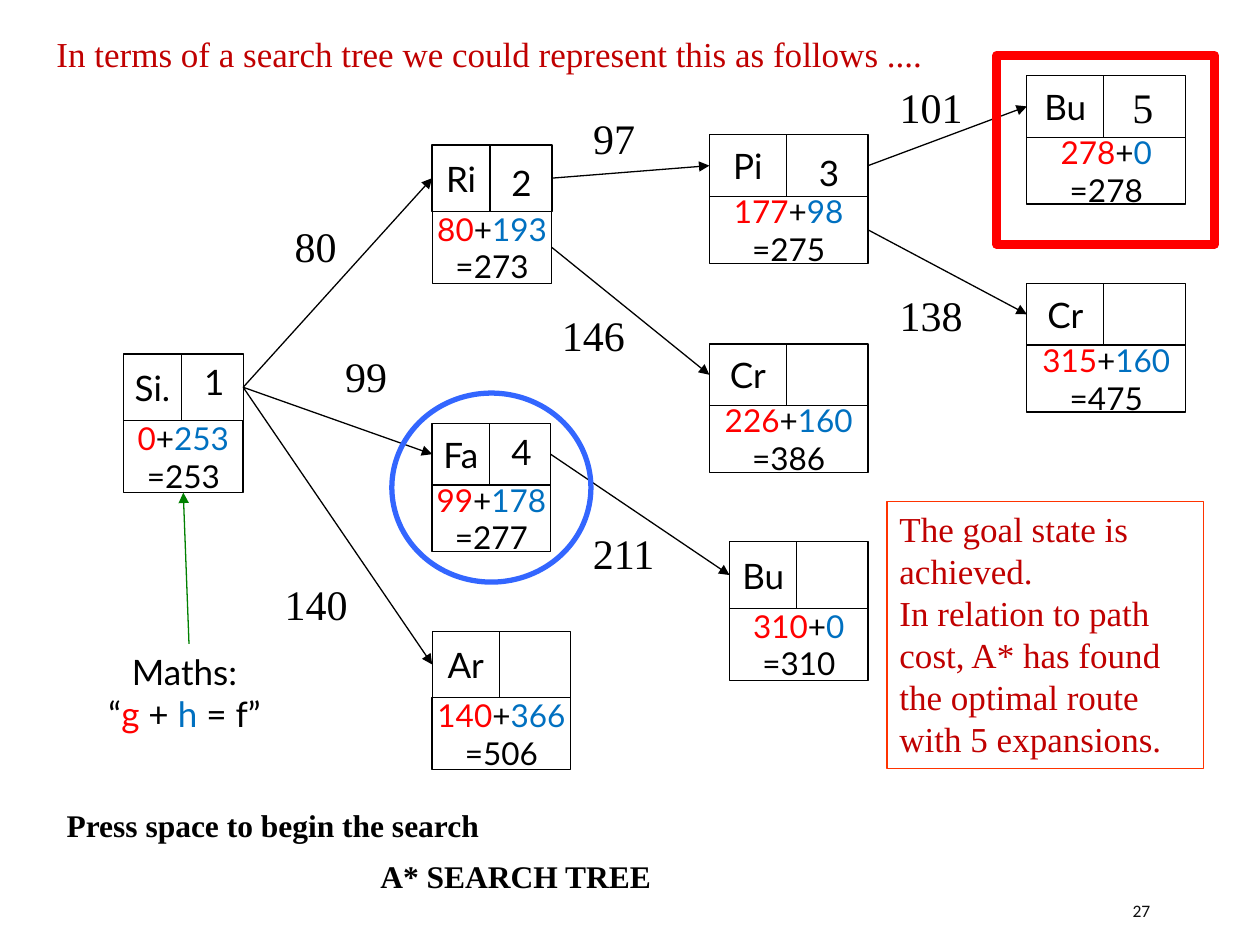
from collections import namedtuple

from lxml import etree
from pptx import Presentation
from pptx.dml.color import RGBColor
from pptx.enum.shapes import MSO_CONNECTOR, MSO_SHAPE
from pptx.enum.text import MSO_ANCHOR as Anchor
from pptx.enum.text import MSO_AUTO_SIZE as AutoSize
from pptx.enum.text import PP_ALIGN as Align
from pptx.oxml.ns import qn
from pptx.util import Inches, Pt

BLACK = RGBColor(0x00, 0x00, 0x00)
NEAR_BLACK = RGBColor(0x0D, 0x0D, 0x0D)
RED = RGBColor(0xFF, 0x00, 0x00)
DARK_RED = RGBColor(0xC0, 0x00, 0x00)
ORANGE = RGBColor(0xFF, 0x33, 0x00)
BLUE = RGBColor(0x00, 0x70, 0xC0)
RING_BLUE = RGBColor(0x33, 0x66, 0xFF)
GREEN = RGBColor(0x00, 0x80, 0x00)

SERIF = "Times New Roman"
CAPTION = {"name": SERIF, "size": Pt(18), "bold": True}
PROSE = {"name": SERIF, "size": Pt(20)}
DISTANCE = {"name": SERIF, "size": Pt(24)}
CITY = {"name": "Lato", "size": Pt(20)}
COST = {"name": "Lato", "size": Pt(18)}
PAGE = {"name": "Calibri", "size": Pt(10)}

CELL_FRAME = {
    "margin_left": 0, "margin_right": 0, "margin_top": 0, "margin_bottom": 0,
    "vertical_anchor": Anchor.MIDDLE, "word_wrap": True,
}
GROWING_FRAME = {
    "vertical_anchor": Anchor.TOP, "word_wrap": True,
    "auto_size": AutoSize.SHAPE_TO_FIT_TEXT,
}
ONE_LINE_FRAME = {**GROWING_FRAME, "word_wrap": False}
MATHS_FRAME = {**ONE_LINE_FRAME, "vertical_anchor": Anchor.MIDDLE}
PAGE_FRAME = {"vertical_anchor": Anchor.MIDDLE, "word_wrap": True}

TOP, LEFT, BOTTOM, RIGHT = range(4)
NAME_WIDTH_SHARE = 0.485
NAME_HEIGHT_SHARE = 0.48

Node = namedtuple("Node", "city order cost")

# key: city, g, h, f, box
NODES = {
    "Si": ("Si.", 0, 253, 253, (0.98, 2.81, 0.95, 1.1)),
    "Pi": ("Pi", 177, 98, 275, (5.63, 1.07, 1.26, 1.02)),
    "Ar": ("Ar", 140, 366, 506, (3.43, 5.01, 1.1, 1.1)),
    "Fa": ("Fa", 99, 178, 277, (3.43, 3.36, 0.94, 1.02)),
    "Ri": ("Ri", 80, 193, 273, (3.43, 1.15, 0.95, 1.1)),
    "Bu via Fa": ("Bu", 310, 0, 310, (5.79, 4.3, 1.1, 1.1)),
    "Bu via Pi": ("Bu", 278, 0, 278, (8.15, 0.6, 1.26, 1.02)),
    "Cr via Ri": ("Cr", 226, 160, 386, (5.63, 2.73, 1.26, 1.02)),
    "Cr via Pi": ("Cr", 315, 160, 475, (8.15, 2.25, 1.26, 1.02)),
}

# parent, cell the branch leaves from, child
BRANCHES = [
    ("Si", "order", "Ri"), ("Si", "order", "Fa"), ("Si", "order", "Ar"),
    ("Ri", "order", "Pi"), ("Ri", "cost", "Cr via Ri"),
    ("Fa", "order", "Bu via Fa"),
    ("Pi", "order", "Bu via Pi"), ("Pi", "cost", "Cr via Pi"),
]

DISTANCES = [
    ("140", 2.16, 4.54), ("80", 2.24, 1.7), ("99", 2.64, 2.73),
    ("138", 7.04, 2.25), ("101", 7.04, 0.6), ("211", 4.6, 4.14),
    ("146", 4.36, 2.41), ("97", 4.61, 0.84),
]

EXPANSIONS = [("1", 1.46, 2.81), ("2", 3.9, 1.23), ("3", 6.34, 1.15), ("4", 3.9, 3.36)]


def apply(target, values):
    for attribute, value in values.items():
        setattr(target, attribute, value)


def write(shape, spans, font, frame, align=Align.LEFT):
    """Fill one paragraph with (text, colour) spans; a newline is a line break."""
    text_frame = shape.text_frame
    apply(text_frame, frame)
    paragraph = text_frame.paragraphs[0]
    paragraph.alignment = align
    for text, colour in spans:
        for index, line in enumerate(text.split("\n")):
            if index:
                paragraph.add_line_break()
            if line:
                run = paragraph.add_run()
                run.text = line
                apply(run.font, font)
                run.font.color.rgb = colour


def add_text(shapes, box, spans, font, frame, align=Align.LEFT):
    text_box = shapes.add_textbox(*map(Inches, box))
    write(text_box, spans, font, frame, align)
    return text_box


def add_outline(shapes, preset, box, colour=BLACK, width=0.75):
    outline = shapes.add_shape(preset, *map(Inches, box))
    outline.shadow.inherit = False
    outline.fill.background()
    outline.line.color.rgb = colour
    outline.line.width = Pt(width)
    return outline


def add_arrow(shapes, start, start_side, end, end_side, colour=BLACK):
    arrow = shapes.add_connector(MSO_CONNECTOR.STRAIGHT, 0, 0, 0, 0)
    arrow.begin_connect(start, start_side)
    arrow.end_connect(end, end_side)
    arrow.line.color.rgb = colour
    arrow.line.width = Pt(0.75)
    etree.SubElement(arrow.line._get_or_add_ln(), qn("a:tailEnd"), type="triangle")
    etree.SubElement(arrow._element.spPr, qn("a:effectLst"))


def add_node(shapes, city, g, h, f, box):
    """Place a city cell and an order cell above a cost cell."""
    left, top, width, height = box
    name_width, name_height = width * NAME_WIDTH_SHARE, height * NAME_HEIGHT_SHARE
    cells = shapes.add_group_shape().shapes
    node = Node(*(add_outline(cells, MSO_SHAPE.RECTANGLE, cell) for cell in (
        (left, top, name_width, name_height),
        (left + name_width, top, width - name_width, name_height),
        (left, top + name_height, width, height - name_height),
    )))
    write(node.city, [(city, BLACK)], CITY, CELL_FRAME, Align.CENTER)
    cost = [(str(g), RED), ("+", BLACK), (f"{h}\n", BLUE), (f"={f}", BLACK)]
    write(node.cost, cost, COST, CELL_FRAME, Align.CENTER)
    return node


def add_tree(shapes):
    nodes = {key: add_node(shapes, *values) for key, values in NODES.items()}
    for parent, cell, child in BRANCHES:
        add_arrow(shapes, getattr(nodes[parent], cell), RIGHT, nodes[child].city, LEFT)
    for distance, left, top in DISTANCES:
        width = 0.7 if len(distance) == 3 else 0.53
        add_text(shapes, (left, top, width, 0.5), [(distance, BLACK)],
                 DISTANCE, ONE_LINE_FRAME, Align.CENTER)
    for number, left, top in EXPANSIONS:
        add_text(shapes, (left, top, 0.48, 0.44), [(number, BLACK)],
                 CITY, CELL_FRAME, Align.CENTER)
    add_text(shapes, (8.78, 0.6, 0.58, 0.5), [("5", BLACK)],
             DISTANCE, GROWING_FRAME, Align.CENTER)
    return nodes


def add_maths_note(shapes, box, start_node):
    formula = [("Maths: \n“", BLACK), ("g", RED), (" + ", BLACK), ("h", BLUE), (" = f” ", BLACK)]
    note = add_text(shapes, box, formula, CITY, MATHS_FRAME, Align.CENTER)
    add_arrow(shapes, note, TOP, start_node.cost, BOTTOM, GREEN)


def add_conclusion(shapes, box):
    conclusion = add_outline(shapes, MSO_SHAPE.RECTANGLE, box, ORANGE)
    write(conclusion, [("The goal state is achieved.\nIn relation to path cost, A* has found "
                        "the optimal route with 5 expansions.", DARK_RED)], PROSE, GROWING_FRAME)


def main():
    presentation = Presentation()
    presentation.slide_width, presentation.slide_height = Inches(10), Inches(7.5)
    shapes = presentation.slides.add_slide(presentation.slide_layouts[6]).shapes

    add_text(shapes, (2.92, 6.75, 4.92, 0.4), [("A* SEARCH TREE", BLACK)], CAPTION, GROWING_FRAME)
    add_text(shapes, (0.43, 6.35, 4.92, 0.4), [("Press space to begin the search", BLACK)],
             CAPTION, GROWING_FRAME)
    add_text(shapes, (0.35, 0.21, 8.67, 0.44),
             [("In terms of a search tree we could represent this as follows ....", DARK_RED)],
             PROSE, GROWING_FRAME)
    add_conclusion(shapes, (7.04, 3.98, 2.51, 2.12))
    nodes = add_tree(shapes)
    add_maths_note(shapes, (0.66, 5.11, 1.68, 0.77), nodes["Si"])
    add_outline(shapes, MSO_SHAPE.RECTANGLE, (7.91, 0.44, 1.73, 1.5), RED, 5)
    add_outline(shapes, MSO_SHAPE.OVAL, (3.11, 3.12, 1.58, 1.5), RING_BLUE, 3)
    add_text(shapes, (8.89, 7.08, 0.8, 0.3), [("27", NEAR_BLACK)], PAGE, PAGE_FRAME)

    presentation.save("out.pptx")


if __name__ == "__main__":
    main()
